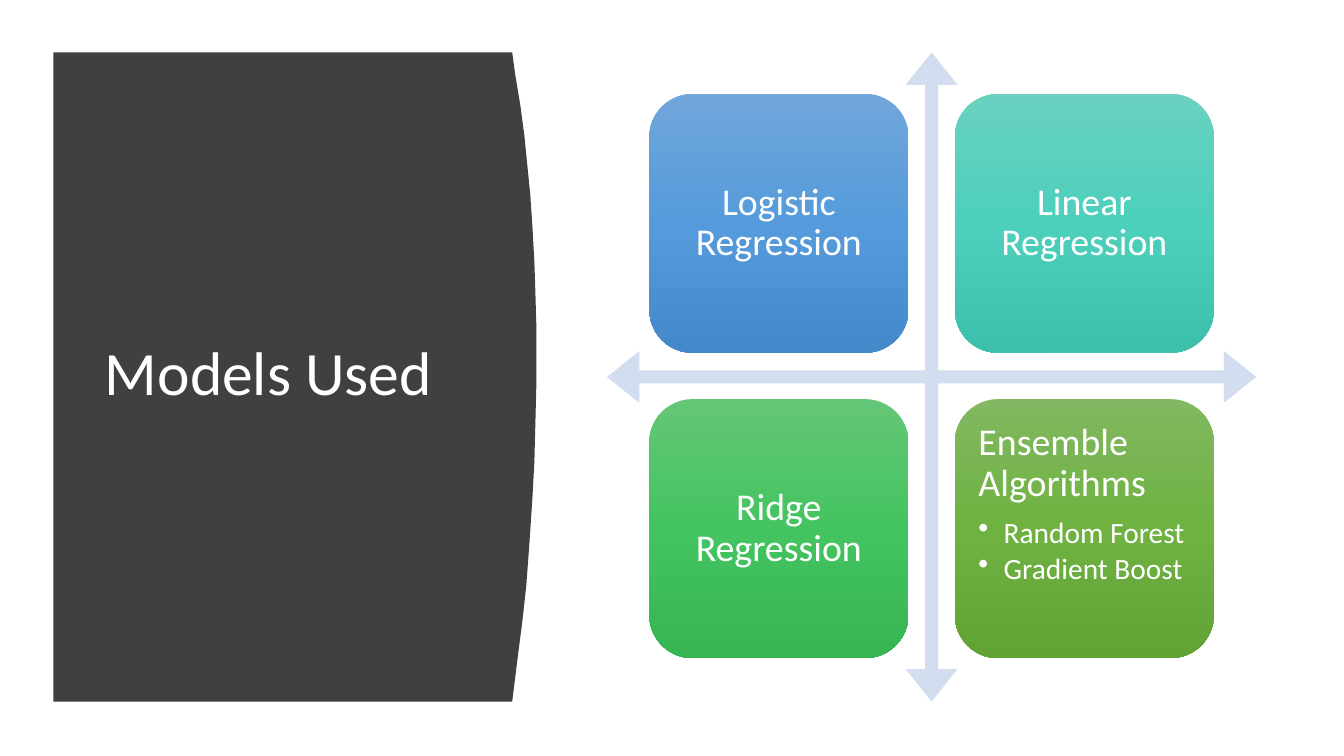
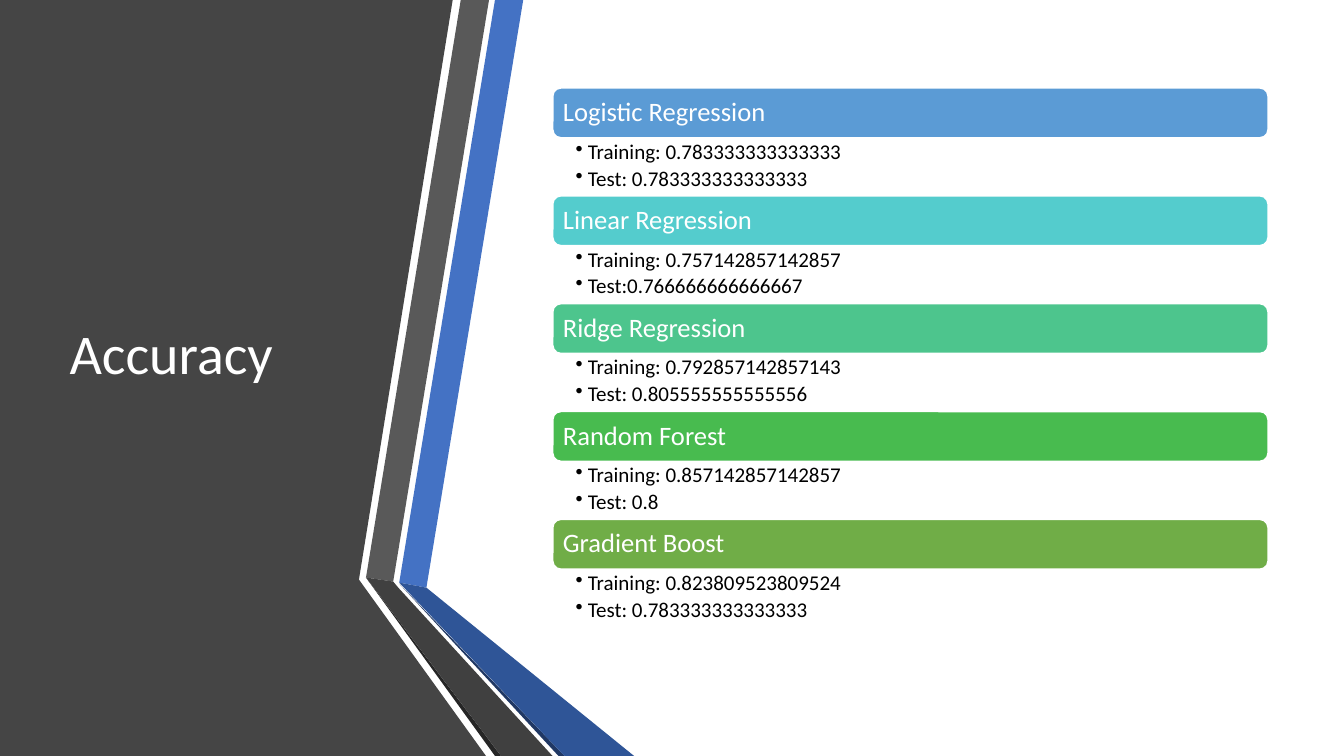
from copy import deepcopy
from dataclasses import dataclass

from lxml.etree import SubElement
from pptx import Presentation
from pptx.dml.color import RGBColor
from pptx.enum.shapes import MSO_SHAPE
from pptx.enum.text import MSO_ANCHOR, MSO_AUTO_SIZE, PP_ALIGN
from pptx.oxml.ns import qn
from pptx.util import Inches, Pt


@dataclass(frozen=True)
class Theme:
    font: str = "Calibri"
    white: str = "FFFFFF"
    black: str = "000000"
    panel: str = "404040"
    cross: str = "D2DEEF"
    big: int = 44
    title: int = 40
    card: int = 27
    point: int = 21
    bar: int = 19
    score: int = 15


@dataclass(frozen=True)
class Box:
    left: float
    top: float
    width: float
    height: float


@dataclass(frozen=True)
class Card:
    name: str
    stops: tuple[str, str, str]
    points: tuple[str, ...] = ()


@dataclass(frozen=True)
class Score:
    name: str
    color: str
    lines: tuple[str, str]


@dataclass(frozen=True)
class Facet:
    color: str
    dots: tuple[tuple[float, float], ...]


THEME = Theme()

# Slide 1 content
PANEL = Facet(THEME.panel, (
    (0.53, 0.52), (5.08, 0.52), (5.11, 0.74), (5.16, 1.04), (5.2, 1.34),
    (5.23, 1.64), (5.26, 1.94), (5.28, 2.24), (5.3, 2.6), (5.31, 2.9),
    (5.32, 3.25), (5.32, 3.8), (5.31, 4.2), (5.3, 4.58), (5.28, 4.95),
    (5.25, 5.4), (5.22, 5.81), (5.18, 6.17), (5.14, 6.48), (5.11, 6.72),
    (5.08, 6.96), (0.53, 6.96)))

CARDS = (
    Card("Logistic Regression", ("71A6DB", "559BDB", "448ACA")),
    Card("Linear Regression", ("6AD1C0", "4CD0BC", "3CC0AC")),
    Card("Ridge Regression", ("64C677", "44C460", "36B552")),
    Card("Ensemble Algorithms", ("81B861", "6FB242", "62A336"),
         ("Random Forest", "Gradient Boost")),
)

# Slide 2 content
FACETS = (
    Facet("454545", ((0, 0), (4.49, 0), (3.56, 5.75), (4.82, 7.5), (0, 7.5))),
    Facet("4472C4", ((3.96, 5.78), (4.23, 5.83), (5.19, 0), (4.91, 0))),
    Facet("595959", ((4.85, 0), (4.57, 0), (3.63, 5.73), (3.9, 5.77))),
    Facet("262626", ((3.63, 5.73), (4.91, 7.5), (4.97, 7.5))),
    Facet("203864", ((3.96, 5.79), (5.54, 7.5), (5.6, 7.5))),
    Facet("2F5597", ((3.96, 5.78), (5.6, 7.5), (6.29, 7.5), (4.23, 5.83))),
    Facet("404040", ((5.48, 7.5), (3.95, 5.83), (3.9, 5.77), (3.63, 5.73),
                     (4.97, 7.5))),
)

SCORES = (
    Score("Logistic Regression", "5B9BD5",
          ("Training: 0.783333333333333", "Test: 0.783333333333333")),
    Score("Linear Regression", "54CCCD",
          ("Training: 0.757142857142857", "Test:0.766666666666667")),
    Score("Ridge Regression", "4DC58D",
          ("Training: 0.792857142857143", "Test: 0.805555555555556")),
    Score("Random Forest", "48BB4F",
          ("Training: 0.857142857142857", "Test: 0.8")),
    Score("Gradient Boost", "70AD47",
          ("Training: 0.823809523809524", "Test: 0.783333333333333")),
)


# Shared helpers
def place(box: Box) -> tuple:
    return tuple(Inches(n) for n in (box.left, box.top, box.width, box.height))


def paint(shape, color: str) -> None:
    shape.shadow.inherit = False
    shape.fill.solid()
    shape.fill.fore_color.rgb = RGBColor.from_string(color)
    shape.line.fill.background()


def blend(shape, colors: tuple[str, str, str]) -> None:
    """Fill from top to bottom with three evenly spaced colours."""
    shape.fill.gradient()
    shape.fill.gradient_angle = 270
    stops = shape._element.spPr.find(qn("a:gradFill")).find(qn("a:gsLst"))
    stops.insert(1, deepcopy(stops[0]))
    for i, stop in enumerate(shape.fill.gradient_stops):
        stop.position = i / 2
        stop.color.rgb = RGBColor.from_string(colors[i])


def write(para, text: str, size: int, color: str, after: float = 0,
          align=PP_ALIGN.LEFT, indent: float = 0) -> None:
    """Fill a paragraph; a positive indent makes it a bullet."""
    para.text = text
    para.alignment = align
    para.line_spacing = 0.9
    para.space_after = Pt(round(size * after, 1))
    if indent:
        para.level = 1
        props = para._p.get_or_add_pPr()
        props.set("marL", str(Inches(indent)))
        props.set("indent", str(-Inches(indent)))
        SubElement(props, qn("a:buChar")).set("char", "•")
    para.font.size = Pt(size)
    para.font.name = THEME.font
    para.font.color.rgb = RGBColor.from_string(color)


def pad(frame, left: float, top: float, right: float, anchor) -> None:
    frame.word_wrap = True
    frame.margin_left, frame.margin_right = Inches(left), Inches(right)
    frame.margin_top = frame.margin_bottom = Inches(top)
    frame.vertical_anchor = anchor


def trace(slide, facet: Facet) -> None:
    dots = [(Inches(x), Inches(y)) for x, y in facet.dots]
    pen = slide.shapes.build_freeform(*dots[0])
    pen.add_line_segments(dots[1:], close=True)
    paint(pen.convert_to_shape(), facet.color)


def start(deck, text: str, size: int, box: Box, facets: tuple[Facet, ...]):
    """Add a slide with its backdrop and the title on top of it."""
    slide = deck.slides.add_slide(deck.slide_layouts[5])
    for facet in facets:
        trace(slide, facet)
    title = slide.shapes.title
    slide.shapes._spTree.append(title._element)
    title.left, title.top, title.width, title.height = place(box)
    frame = title.text_frame
    frame.auto_size = MSO_AUTO_SIZE.NONE
    pad(frame, 0.1, 0.05, 0.1, MSO_ANCHOR.MIDDLE)
    write(frame.paragraphs[0], text, size, THEME.white)
    return slide


# Slide parts
def add_card(slide, card: Card, box: Box) -> None:
    shape = slide.shapes.add_shape(MSO_SHAPE.ROUNDED_RECTANGLE, *place(box))
    paint(shape, card.stops[1])
    blend(shape, card.stops)
    frame = shape.text_frame
    listed = bool(card.points)
    pad(frame, 0.11, 0.11, 0.11,
        MSO_ANCHOR.TOP if listed else MSO_ANCHOR.MIDDLE)
    write(frame.paragraphs[0], card.name, THEME.card, THEME.white, 0.35,
          PP_ALIGN.LEFT if listed else PP_ALIGN.CENTER)
    for point in card.points:
        write(frame.add_paragraph(), point, THEME.point, THEME.white, 0.15,
              indent=0.25)


def add_score(slide, score: Score, top: float) -> None:
    left, width, high = 5.48, 7.1, 0.5
    bar = slide.shapes.add_shape(MSO_SHAPE.ROUNDED_RECTANGLE,
                                 *place(Box(left, top, width, high)))
    paint(bar, score.color)
    bar.line.color.rgb = RGBColor.from_string(THEME.white)
    bar.line.width = Pt(1.5)
    pad(bar.text_frame, 0.08, 0.08, 0.08, MSO_ANCHOR.MIDDLE)
    write(bar.text_frame.paragraphs[0], score.name, THEME.bar, THEME.white,
          0.35)

    note = slide.shapes.add_textbox(*place(Box(left, top + high, width, 0.57)))
    frame = note.text_frame
    pad(frame, 0.23, 0.03, 0.15, MSO_ANCHOR.TOP)
    for i, line in enumerate(score.lines):
        para = frame.add_paragraph() if i else frame.paragraphs[0]
        write(para, line, THEME.score, THEME.black, 0.2, indent=0.12)


# Slides
def show_models(deck) -> None:
    slide = start(deck, "Models Used", THEME.big, Box(0.94, 1.11, 3.74, 5.24),
                  (PANEL,))
    cross = slide.shapes.add_shape(MSO_SHAPE.QUAD_ARROW,
                                   *place(Box(6.02, 0.52, 6.44, 6.44)))
    for i, ratio in enumerate((0.02, 0.04, 0.05)):
        cross.adjustments[i] = ratio
    paint(cross, THEME.cross)
    side, step = 2.57, 3.03
    for i, card in enumerate(CARDS):
        row, col = divmod(i, 2)
        add_card(slide, card,
                 Box(6.44 + col * step, 0.93 + row * step, side, side))


def show_scores(deck) -> None:
    slide = start(deck, "Accuracy", THEME.title, Box(0.59, 0.75, 3.04, 5.58),
                  FACETS)
    for i, score in enumerate(SCORES):
        add_score(slide, score, 0.87 + i * 1.07)


def main() -> None:
    deck = Presentation()
    deck.slide_width, deck.slide_height = Inches(13.33), Inches(7.5)
    show_models(deck)
    show_scores(deck)
    deck.save("out.pptx")


if __name__ == "__main__":
    main()
